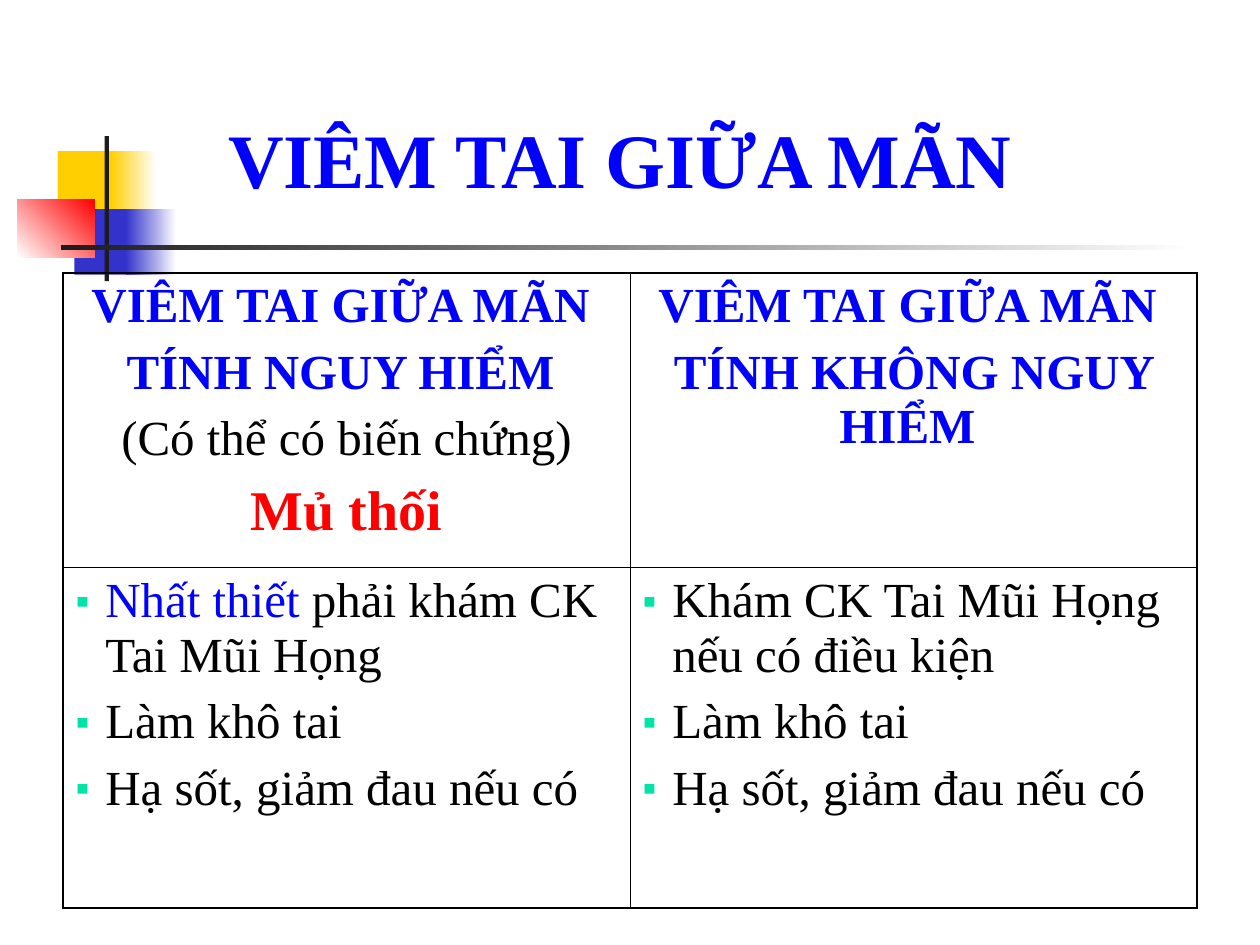
"""Build a slide comparing the two kinds of chronic otitis media."""
from lxml import etree
from pptx import Presentation
from pptx.dml.color import RGBColor
from pptx.enum.shapes import MSO_SHAPE
from pptx.enum.text import MSO_ANCHOR, MSO_AUTO_SIZE, PP_ALIGN
from pptx.oxml.ns import qn
from pptx.util import Pt

RECT = MSO_SHAPE.RECTANGLE
BOTTOM = MSO_ANCHOR.BOTTOM
NO_AUTOFIT = MSO_AUTO_SIZE.NONE
LEFT, CENTER = PP_ALIGN.LEFT, PP_ALIGN.CENTER

FONT = "Times New Roman"
WHITE, BLACK, DARK = "FFFFFF", "000000", "1C1C1C"
BLUE, RED, GREEN = "0000FF", "FF0000", "00E4A8"
YELLOW, INDIGO = "FFCF01", "3333CC"
OUTER, INNER = 1.08, 0.45


def rgb(value):
    return RGBColor.from_string(value)


def child(parent, tag, **attrs):
    return etree.SubElement(parent, qn(tag), attrs)


class Deck:
    def __init__(self, prs):
        self.slide = prs.slides.add_slide(prs.slide_layouts[5])

    def font(self, target, size, color, bold=False):
        f = target.font
        f.name, f.size, f.bold = FONT, Pt(size), bold
        f.color.rgb = rgb(color)

    def title(self, text, x, y, w, h):
        sp = self.slide.shapes.title
        sp.left, sp.top, sp.width, sp.height = Pt(x), Pt(y), Pt(w), Pt(h)
        tf = sp.text_frame
        tf.vertical_anchor, tf.auto_size = BOTTOM, NO_AUTOFIT
        p = tf.paragraphs[0]
        p.text, p.alignment = text, CENTER
        self.font(p, 44, BLUE, True)

    def rect(self, x, y, w, h, color, end=None, angle=0):
        sp = self.slide.shapes.add_shape(RECT, Pt(x), Pt(y), Pt(w), Pt(h))
        sp.shadow.inherit = False
        sp.line.fill.background()
        if end is None:
            sp.fill.solid()
            sp.fill.fore_color.rgb = rgb(color)
            return
        sp.fill.gradient()
        sp.fill.gradient_angle = angle
        for stop, value in zip(sp.fill.gradient_stops, (color, end)):
            stop.color.rgb = rgb(value)

    def borders(self, cell, **widths):
        tcPr = cell._tc.get_or_add_tcPr()
        for side, width in widths.items():
            ln = child(tcPr, f"a:ln{side}", w=str(Pt(width)))
            child(child(ln, "a:solidFill"), "a:srgbClr", val=BLACK)

    def bullet(self, p):
        pPr = p._p.get_or_add_pPr()
        pPr.set("marL", str(Pt(17)))
        pPr.set("indent", str(Pt(-17)))
        child(child(pPr, "a:buClr"), "a:srgbClr", val=GREEN)
        child(pPr, "a:buSzPct", val="80000")
        child(pPr, "a:buFont", typeface=FONT)
        child(pPr, "a:buChar", char="▪")

    def cell_text(self, cell, lines, bulleted):
        tf = cell.text_frame
        for i, (size, bold, runs) in enumerate(lines):
            p = tf.add_paragraph() if i else tf.paragraphs[0]
            p.alignment = LEFT if bulleted else CENTER
            p.space_before = Pt(size / 4 if i else 0)
            if bulleted:
                self.bullet(p)
            self.font(p, size, runs[0][1], bold)
            for text, color in runs:
                r = p.add_run()
                r.text = text
                self.font(r, size, color, bold)

    def table(self, x, y, col_width, heights, rows):
        n_cols = len(rows[0])
        frame = self.slide.shapes.add_table(
            len(rows), n_cols, Pt(x), Pt(y), Pt(col_width * n_cols), Pt(sum(heights)))
        tbl = frame.table
        tbl.first_row = tbl.horz_banding = False
        for col in tbl.columns:
            col.width = Pt(col_width)
        for i, (height, row) in enumerate(zip(heights, rows)):
            tbl.rows[i].height = Pt(height)
            for j, lines in enumerate(row):
                cell = tbl.cell(i, j)
                self.borders(
                    cell,
                    L=INNER if j else OUTER,
                    R=INNER if j < n_cols - 1 else OUTER,
                    T=INNER if i else OUTER,
                    B=INNER if i < len(rows) - 1 else OUTER)
                cell.fill.background()
                self.cell_text(cell, lines, bulleted=i > 0)


def line(text, color=BLACK, bold=False, size=28):
    return size, bold, [(text, color)]


def main():
    prs = Presentation()
    prs.slide_width, prs.slide_height = Pt(720), Pt(540)
    deck = Deck(prs)

    deck.rect(33, 86.4, 34.6, 37.4, YELLOW)
    deck.rect(63.4, 86.4, 25.9, 37.4, YELLOW, WHITE)
    deck.rect(42.5, 119.5, 33, 37.4, INDIGO)
    deck.rect(72, 119.5, 28.8, 37.4, INDIGO, WHITE)
    deck.rect(10, 113.8, 44, 33.1, WHITE, RED, 45)
    deck.rect(59.8, 77.8, 2.4, 82.8, DARK)
    deck.rect(34.6, 140.2, 648, 2.4, DARK, WHITE)

    deck.title("VIÊM TAI GIỮA MÃN ", 54, 30, 612, 90)

    heading = line("VIÊM TAI GIỮA MÃN ", BLUE, True)
    care = [line("Làm khô tai"), line("Hạ sốt, giảm đau nếu có")]
    exam = 28, False, [("Nhất thiết ", BLUE), ("phải khám CK Tai Mũi Họng", BLACK)]
    deck.table(36, 156, 324, [168.5, 194.4], [
        [[heading,
          line("TÍNH NGUY HIỂM ", BLUE, True),
          line("(Có thể có biến chứng)"),
          line("Mủ thối", RED, True, 32)],
         [heading, line("TÍNH KHÔNG NGUY HIỂM ", BLUE, True)]],
        [[exam, *care],
         [line("Khám CK Tai Mũi Họng nếu có điều kiện"), *care]],
    ])
    prs.save("out.pptx")


if __name__ == "__main__":
    main()
